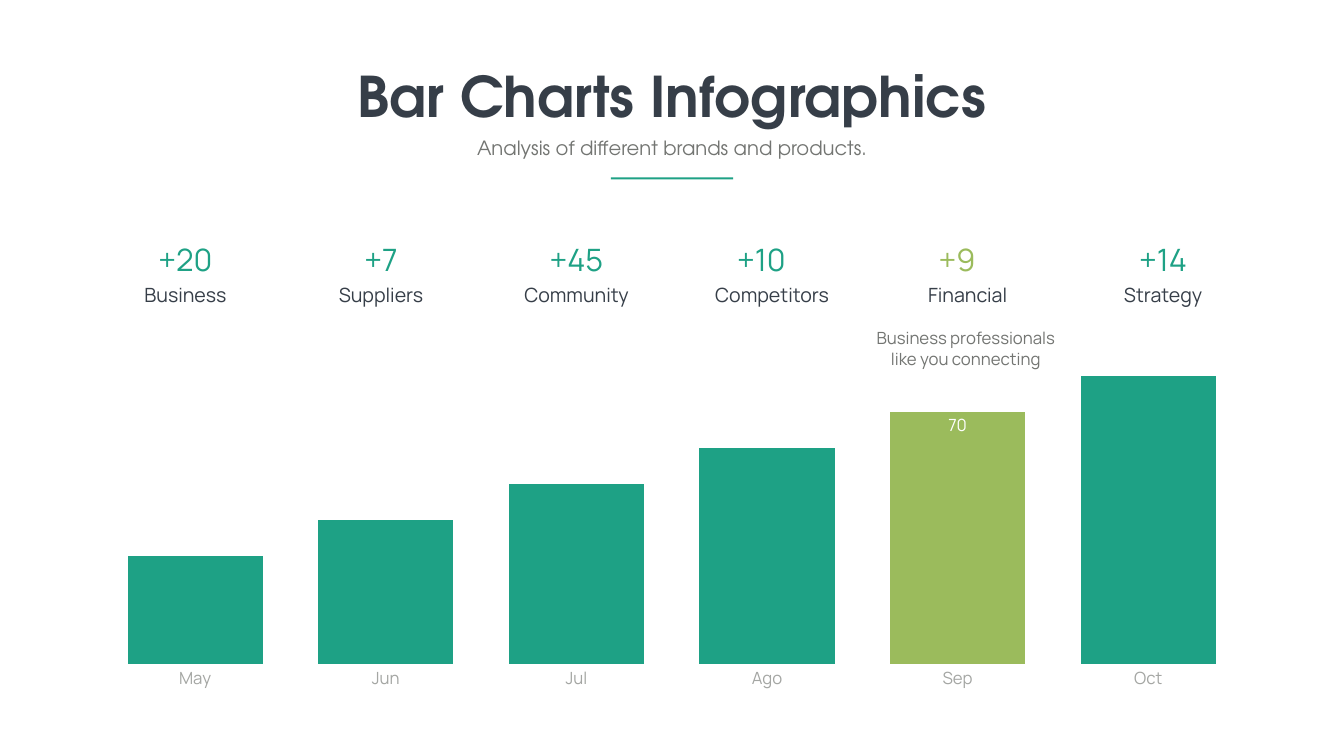
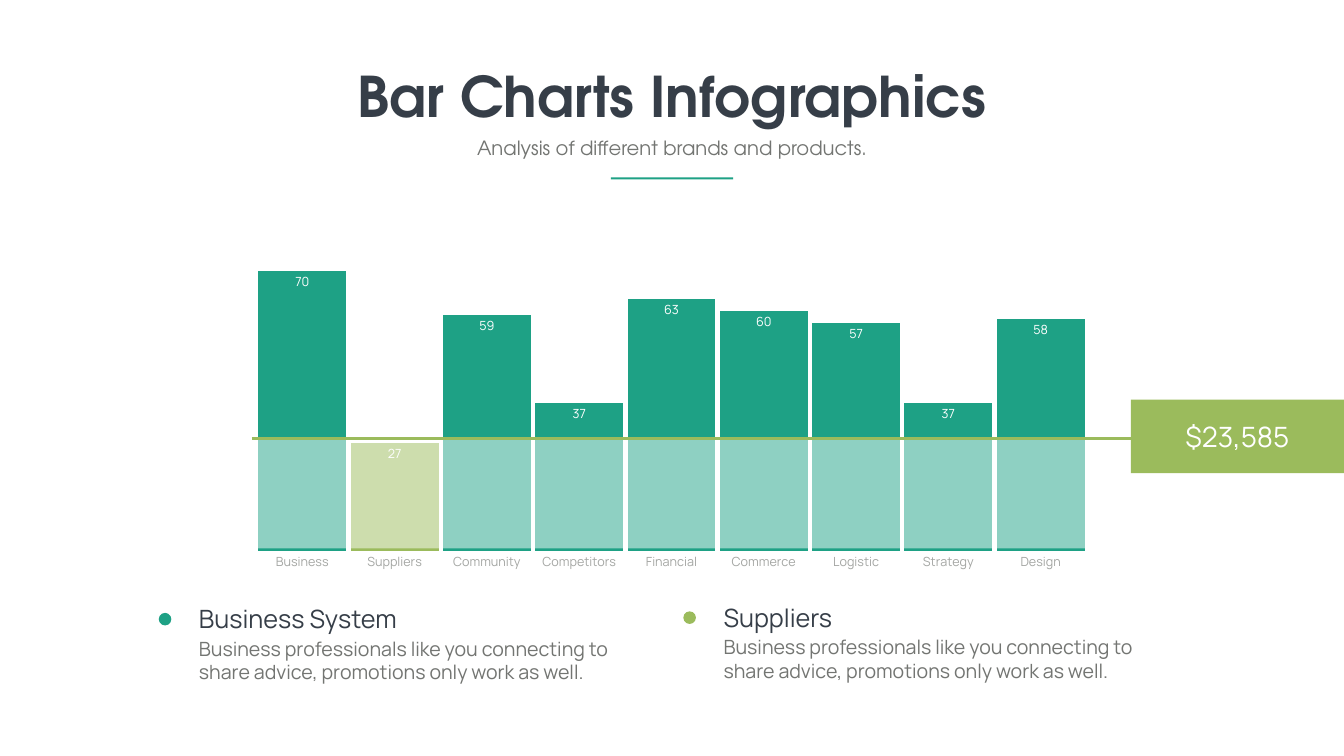
from dataclasses import dataclass

from lxml import etree
from pptx import Presentation, util as u
from pptx.chart.data import CategoryChartData
from pptx.dml.color import RGBColor
from pptx.enum import chart as ch, shapes as sh, text as tx
from pptx.oxml import ns

WIDTH, HEIGHT = 26.67, 15


@dataclass(frozen=True)
class Theme:
    green: str = "1EA185"
    lime: str = "9BBB5C"
    dark: str = "363E48"
    grey: str = "737572"
    pale: str = "A4A6A3"
    white: str = "FFFFFF"
    head_font: str = "TeX Gyre Adventor"
    body_font: str = "Manrope"
    title: int = 80
    figure: int = 44
    amount: int = 40
    heading: int = 36
    body: int = 28
    small: int = 24
    tiny: int = 18


T = Theme()

TITLE = "Bar Charts Infographics"
SUBTITLE = "Analysis of different brands and products."

# month, value, change, topic, shift of the change from the column centre
MONTHS = [
    ("May", 30, "+20", "Business", 0),
    ("Jun", 40, "+7", "Suppliers", 0),
    ("Jul", 50, "+45", "Community", 0),
    ("Ago", 60, "+10", "Competitors", -0.21),
    ("Sep", 70, "+9", "Financial", -0.21),
    ("Oct", 80, "+14", "Strategy", 0),
]
BEST_MONTH = 4
BEST_NOTE = "Business professionals like you connecting"

AREAS = [
    ("Business", 70), ("Suppliers", 27), ("Community", 59),
    ("Competitors", 37), ("Financial", 63), ("Commerce", 60),
    ("Logistic", 57), ("Strategy", 37), ("Design", 58),
]
WEAK_AREA = 1
THRESHOLD = "$23,585"
LEGEND_TEXT = ("Business professionals like you connecting to "
               "share advice, promotions only work as well.")
# heading, colour, left, top
LEGEND = [
    ("Business System", T.green, 3.15, 11.93),
    ("Suppliers", T.lime, 13.56, 11.9),
]


def inches(*lengths):
    return [u.Inches(length) for length in lengths]


def style(font, size, color, face=T.body_font, bold=False):
    font.size, font.name, font.bold = u.Pt(size), face, bold
    font.color.rgb = RGBColor.from_string(color)


def write(frame, words, size, color, align=tx.PP_ALIGN.CENTER, **font):
    frame.text = words
    line = frame.paragraphs[0]
    line.alignment = align
    style(line.runs[0].font, size, color, **font)


def add_text(shapes, box, words, size, color, wrap=True, **look):
    frame = shapes.add_textbox(*inches(*box)).text_frame
    frame.word_wrap = wrap
    frame.auto_size = tx.MSO_AUTO_SIZE.SHAPE_TO_FIT_TEXT
    write(frame, words, size, color, **look)


def add_block(shapes, box, color, kind=sh.MSO_SHAPE.RECTANGLE):
    block = shapes.add_shape(kind, *inches(*box))
    block.shadow.inherit = False
    block.fill.solid()
    block.fill.fore_color.rgb = RGBColor.from_string(color)
    block.line.fill.background()
    return block


def add_veil(shapes, box):
    """Half-transparent white rectangle."""
    veil = add_block(shapes, box, T.white)
    color = veil.fill._xPr.find(".//" + ns.qn("a:srgbClr"))
    etree.SubElement(color, ns.qn("a:alpha"), val="50000")


def add_rule(shapes, left, right, y, color, weight):
    rule = shapes.add_connector(sh.MSO_CONNECTOR.STRAIGHT,
                                *inches(left, y, right, y))
    rule.line.color.rgb = RGBColor.from_string(color)
    rule.line.width = u.Pt(weight)
    etree.SubElement(rule._element.spPr, ns.qn("a:effectLst"))


def add_columns(shapes, box, names, values, gap, top, size, accent):
    """Column chart with one accented column; returns its plot."""
    data = CategoryChartData()
    data.categories = names
    data.add_series("Series 1", values)
    chart = shapes.add_chart(ch.XL_CHART_TYPE.COLUMN_CLUSTERED,
                             *inches(*box), data).chart
    chart.has_legend = chart.has_title = False
    style(chart.font, size, T.grey)

    scale = chart.value_axis
    scale.visible = scale.has_major_gridlines = False
    scale.minimum_scale, scale.maximum_scale = 0, top

    axis = chart.category_axis
    axis.major_tick_mark = axis.minor_tick_mark = ch.XL_TICK_MARK.NONE
    axis.format.line.fill.background()
    style(axis.tick_labels.font, size, T.pale)

    plot = chart.plots[0]
    plot.gap_width, plot.vary_by_categories = gap, False
    series = plot.series[0]
    series.invert_if_negative = False
    for part, color in ((series, T.green), (series.points[accent], T.lime)):
        part.format.fill.solid()
        part.format.fill.fore_color.rgb = RGBColor.from_string(color)
    return plot


def add_header(shapes):
    def centred(width, top, height):
        return (WIDTH - width) / 2, top, width, height

    add_text(shapes, centred(12.82, 1.17, 1.45), TITLE, T.title, T.dark,
             wrap=False, face=T.head_font, bold=True)
    add_text(shapes, centred(9.56, 2.65, 0.57), SUBTITLE, T.body, T.grey,
             face=T.head_font)
    add_block(shapes, centred(2.43, 3.52, 0.04), T.green)


def build_months(shapes):
    names, values = zip(*(month[:2] for month in MONTHS))
    plot = add_columns(shapes, (1.51, 5.86, 23.64, 7.98), names, values,
                       gap=41, top=100, size=T.small, accent=BEST_MONTH)
    label = plot.series[0].points[BEST_MONTH].data_label
    style(label.font, T.small, T.white)
    label.position = ch.XL_LABEL_POSITION.INSIDE_END

    first_centre, pitch = 3.68, 3.88
    for column, (_, _, change, topic, shift) in enumerate(MONTHS):
        centre = first_centre + column * pitch
        color = T.lime if column == BEST_MONTH else T.green
        add_text(shapes, (centre - 1.465, 5.56, 2.93, 0.57),
                 topic, T.body, T.dark)
        add_text(shapes, (centre + shift - 1.255, 4.72, 2.51, 0.84),
                 change, T.figure, color)
    add_text(shapes, (17.13, 6.46, 4.07, 0.91), BEST_NOTE, T.small, T.grey)


def build_areas(shapes):
    names, values = zip(*AREAS)
    plot = add_columns(shapes, (4.74, 4.45, 17.17, 7), names, values,
                       gap=5, top=80, size=T.tiny, accent=WEAK_AREA)
    plot.has_data_labels = True
    labels = plot.data_labels
    labels.show_value = True
    labels.position = ch.XL_LABEL_POSITION.INSIDE_END
    style(labels.font, T.tiny, T.white)

    level, tag_left, tag_height = 8.7, 22.44, 1.46
    add_veil(shapes, (3.39, level, 19.31, 2.18))
    add_rule(shapes, 5, tag_left, level, T.lime, 3)
    tag = add_block(shapes, (tag_left, 7.93, WIDTH - tag_left, tag_height),
                    T.lime)
    tag.text_frame.vertical_anchor = tx.MSO_ANCHOR.MIDDLE
    write(tag.text_frame, THRESHOLD, T.amount, T.white)

    for heading, color, left, top in LEGEND:
        entry = shapes.add_group_shape().shapes
        add_block(entry, (left, top + 0.23, 0.25, 0.25), color,
                  sh.MSO_SHAPE.OVAL)
        add_text(entry, (left + 0.7, top + 0.65, 9.25, 1.04), LEGEND_TEXT,
                 T.body, T.grey, align=tx.PP_ALIGN.LEFT)
        add_text(entry, (left + 0.7, top, 4.89, 0.71), heading,
                 T.heading, T.dark, align=tx.PP_ALIGN.LEFT)


def main():
    deck = Presentation()
    deck.slide_width, deck.slide_height = inches(WIDTH, HEIGHT)
    for build in (build_months, build_areas):
        shapes = deck.slides.add_slide(deck.slide_layouts[6]).shapes
        build(shapes)
        add_header(shapes)
    deck.save("out.pptx")


if __name__ == "__main__":
    main()
